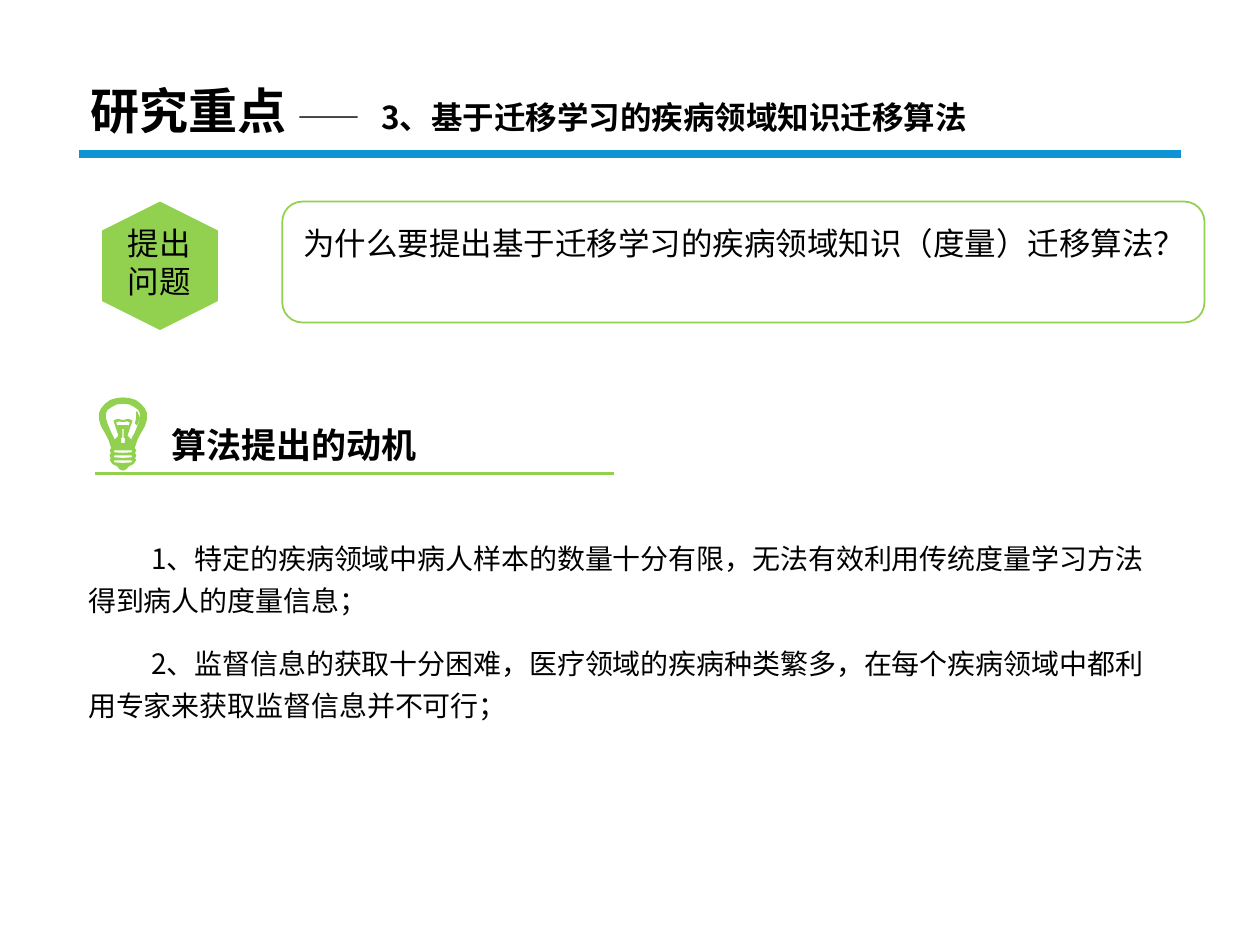
from dataclasses import dataclass
from lxml.etree import SubElement
from pptx import Presentation
from pptx.dml.color import RGBColor
from pptx.enum.shapes import MSO_CONNECTOR, MSO_SHAPE
from pptx.enum.text import MSO_ANCHOR, MSO_AUTO_SIZE, PP_ALIGN
from pptx.oxml.ns import qn
from pptx.util import Pt


@dataclass(frozen=True)
class Theme:
    font: str = "Noto Sans CJK SC"
    black: RGBColor = RGBColor(0, 0, 0)
    blue: RGBColor = RGBColor(0x0F, 0x93, 0xD5)
    green: RGBColor = RGBColor(0x92, 0xD0, 0x50)
    title: int = 28
    heading: int = 20
    label: int = 18
    body: int = 16


THEME = Theme()

# Content
TITLE_RUNS = [("研究重点 ", THEME.title),
              ("——\t3、基于迁移学习的疾病领域知识迁移算法", THEME.label)]
LABEL = "提出问题"
QUESTION = "为什么要提出基于迁移学习的疾病领域知识（度量）迁移算法？"
HEADING = "算法提出的动机"
MOTIVES = [
    "1、特定的疾病领域中病人样本的数量十分有限，无法有效利用传统度量学习方法得到病人的度量信息；",
    "2、监督信息的获取十分困难，医疗领域的疾病种类繁多，在每个疾病领域中都利用专家来获取监督信息并不可行；",
]

# Bulb: right halves of symmetric outlines, measured from the top centre
BULB_CENTRE, BULB_TOP, BULB_UNIT = 70.3, 227.5, 0.72
BULB_HALVES = [
    # glass and base
    [(0, 0), (5, 0.5), (10, 2), (14, 5), (17, 8.5), (18.5, 12), (18.5, 17),
     (17, 22), (13, 29), (11, 33), (9, 39), (9, 40), (10, 41.5), (9, 43.5),
     (10, 45.5), (9, 48), (10, 49), (8, 52), (4, 54), (2.5, 56), (0, 57)],
    # inside of the glass, around the filament
    [(0, 4), (5, 4.5), (9, 6.5), (12.5, 9), (14, 12), (14, 16), (12.5, 21),
     (10, 27), (7.5, 32), (6, 36), (6, 33), (3, 30), (7, 18), (4, 17), (0, 18)],
    # filament cup and stem
    [(0, 18.5), (3.5, 18), (6, 19), (3, 29), (3, 25), (4, 25), (4, 22), (0, 22)],
    [(0, 24), (2, 24), (1, 25), (1, 31), (2, 31), (2, 36), (0, 36)],
]
BASE_BAND = [(0, 41), (7, 41), (8, 42), (7, 43.5), (0, 44)]
BULB_HALVES += [[(x, y + 4 * band) for x, y in BASE_BAND] for band in range(3)]
BULB_GLINT = [(11, 11), (13, 16), (11, 21), (10, 20), (11, 16)]


def place(shape, left, top, width, height):
    shape.left, shape.top = Pt(left), Pt(top)
    shape.width, shape.height = Pt(width), Pt(height)


def prepare(shape, anchor=MSO_ANCHOR.TOP):
    frame = shape.text_frame
    frame.word_wrap = True
    frame.auto_size = MSO_AUTO_SIZE.NONE
    frame.vertical_anchor = anchor
    return frame


def add_run(paragraph, text, size, bold=False):
    run = paragraph.add_run()
    run.text = text
    run.font.name = THEME.font
    run.font.size = Pt(size)
    run.font.bold = bold
    run.font.color.rgb = THEME.black
    SubElement(run._r.get_or_add_rPr(), qn("a:ea"), typeface=THEME.font)


def add_text(slide, box, text, size, bold=False, align=PP_ALIGN.LEFT, spacing=1.0):
    shape = slide.shapes.add_textbox(*map(Pt, box))
    paragraph = prepare(shape).paragraphs[0]
    paragraph.alignment = align
    paragraph.line_spacing = spacing
    add_run(paragraph, text, size, bold)


def add_rule(slide, left, right, y, color, weight):
    rule = slide.shapes.add_connector(
        MSO_CONNECTOR.STRAIGHT, Pt(left), Pt(y), Pt(right), Pt(y))
    rule.line.color.rgb = color
    rule.line.width = Pt(weight)
    SubElement(rule._element.spPr, qn("a:effectLst"))


def fill_green(shape):
    shape.shadow.inherit = False
    shape.fill.solid()
    shape.fill.fore_color.rgb = THEME.green


def outline_green(shape, weight):
    shape.line.color.rgb = THEME.green
    shape.line.width = Pt(weight)


def add_bulb(slide):
    outlines = [half + [(-x, y) for x, y in reversed(half) if x]
                for half in BULB_HALVES] + [BULB_GLINT]
    builder = None
    for outline in outlines:
        points = [(Pt(BULB_CENTRE + x * BULB_UNIT), Pt(BULB_TOP + y * BULB_UNIT))
                  for x, y in outline]
        if builder is None:
            builder = slide.shapes.build_freeform(*points[0], scale=1.0)
        else:
            builder.move_to(*points[0])
        builder.add_line_segments(points[1:], close=True)
    bulb = builder.convert_to_shape()
    fill_green(bulb)
    outline_green(bulb, 0.75)


def main():
    presentation = Presentation()
    presentation.slide_width, presentation.slide_height = Pt(720), Pt(540)
    slide = presentation.slides.add_slide(presentation.slide_layouts[1])

    # Title and its rule
    add_rule(slide, 45.4, 674.6, 87.8, THEME.blue, 4.5)
    title = slide.shapes.title
    place(title, 44.6, 43.2, 620.6, 43.9)
    paragraph = prepare(title, MSO_ANCHOR.MIDDLE).paragraphs[0]
    tabs = SubElement(paragraph._p.get_or_add_pPr(), qn("a:tabLst"))
    SubElement(tabs, qn("a:tab"), pos=str(Pt(166)), algn="l")
    paragraph.alignment = PP_ALIGN.LEFT
    paragraph.line_spacing = 0.9
    for text, size in TITLE_RUNS:
        add_run(paragraph, text, size, bold=True)

    # Question
    hexagon = slide.shapes.add_shape(
        MSO_SHAPE.HEXAGON, Pt(54.7), Pt(118.8), Pt(73.4), Pt(66.2))
    hexagon.rotation = 90
    fill_green(hexagon)
    hexagon.line.fill.background()
    add_text(slide, (59.8, 124.6, 62.6, 51.1), LABEL, THEME.label,
             align=PP_ALIGN.CENTER)
    frame = slide.shapes.add_shape(
        MSO_SHAPE.ROUNDED_RECTANGLE, Pt(161.3), Pt(115.2), Pt(527), Pt(69.1))
    frame.shadow.inherit = False
    frame.fill.background()
    outline_green(frame, 1)
    add_text(slide, (166.3, 118.8, 521, 34.6), QUESTION, THEME.label, spacing=1.25)

    # Motivation heading
    add_rule(slide, 54, 350.6, 270.7, THEME.green, 1.75)
    add_text(slide, (90.7, 238.3, 236.2, 31.7), HEADING, THEME.heading, bold=True)
    add_bulb(slide)

    # Motives
    body = slide.placeholders[1]
    place(body, 43.2, 301, 624.2, 116.6)
    text_frame = prepare(body)
    for index, motive in enumerate(MOTIVES):
        paragraph = text_frame.add_paragraph() if index else text_frame.paragraphs[0]
        properties = paragraph._p.get_or_add_pPr()
        properties.set("marL", "0")
        properties.set("indent", str(Pt(36)))
        SubElement(properties, qn("a:buNone"))
        paragraph.line_spacing = 1.25
        paragraph.space_before = Pt(6 if index else 0)
        paragraph.space_after = Pt(6)
        add_run(paragraph, motive, THEME.body)

    presentation.save("out.pptx")


if __name__ == "__main__":
    main()
